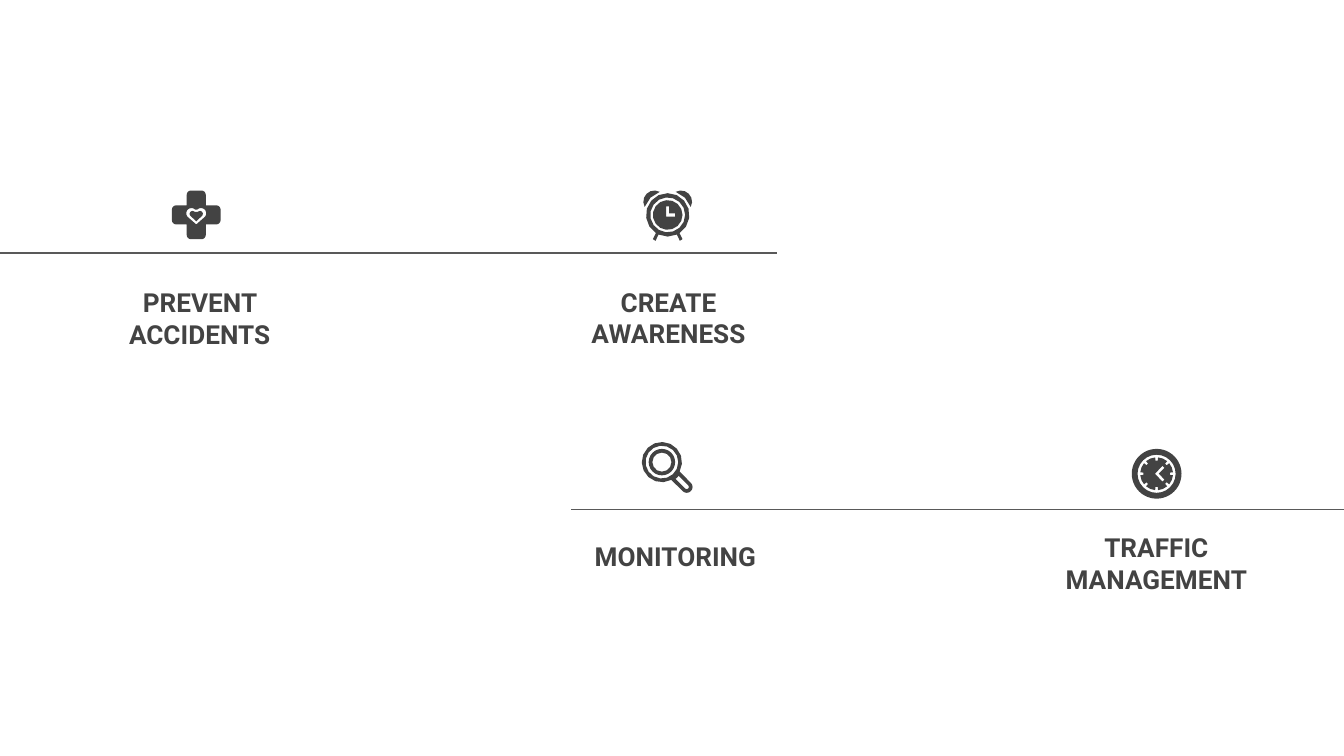
from math import cos, radians, sin

from lxml import etree
from pptx import Presentation
from pptx.dml.color import RGBColor
from pptx.enum.shapes import MSO_CONNECTOR, MSO_SHAPE
from pptx.enum.text import MSO_ANCHOR, PP_ALIGN
from pptx.oxml.ns import qn
from pptx.util import Cm, Pt

STRAIGHT = MSO_CONNECTOR.STRAIGHT
DONUT = MSO_SHAPE.DONUT
BOTTOM = MSO_ANCHOR.BOTTOM
CENTER = PP_ALIGN.CENTER


def color(hex_code):
    return RGBColor.from_string(hex_code)


def arc(x, y, radius, start, end):
    """Points of an arc in degrees, clockwise from the right."""
    steps = max(2, round(abs(end - start) / 24))
    angles = [radians(start + (end - start) * i / steps) for i in range(steps + 1)]
    return [(x + radius * cos(a), y + radius * sin(a)) for a in angles]


def circle(radius):
    return arc(0, 0, radius, 0, 336)


def mirror(points):
    return [(-x, y) for x, y in points]


def heart(lobe_x, lobe_y, radius, tip):
    right = arc(lobe_x, lobe_y, radius, 225, 400)
    return right + [(0, tip)] + mirror(right)[::-1]


def rounded_cross(half, arm, corner):
    points = []
    for turn in (0, 90, 180, 270):
        c, s = cos(radians(turn)), sin(radians(turn))
        points.append((arm * c + arm * s, arm * s - arm * c))
        for side, start in ((-1, turn - 90), (1, turn)):
            x, y = half - corner, side * (arm - corner)
            points += arc(x * c - y * s, x * s + y * c, corner, start, start + 90)
    return points


def notched_disc(radius, notch_radius, notches):
    points, pitch = [], 360 / notches
    for i in range(notches):
        rim = arc(0, 0, radius, i * pitch + 5, (i + 1) * pitch - 5)
        ratio = notch_radius / radius
        notch_start, notch_end = [(x * ratio, y * ratio) for x, y in (rim[0], rim[-1])]
        points += [notch_start] + rim + [notch_end]
    return points


class TimelineSlide:
    font, ink, rule = "Roboto", "434343", "595959"

    def __init__(self, presentation):
        self.shapes = presentation.slides.add_slide(presentation.slide_layouts[6]).shapes

    def label(self, text, left, top, height=1.19):
        box = self.shapes.add_textbox(Cm(left), Cm(top), Cm(4.95), Cm(height))
        frame = box.text_frame
        frame.word_wrap = True
        frame.vertical_anchor = BOTTOM
        frame.margin_left = frame.margin_right = Cm(0.25)
        frame.margin_top = frame.margin_bottom = Cm(0.25)
        frame.text = text
        paragraph = frame.paragraphs[0]
        paragraph.alignment = CENTER
        font = paragraph.runs[0].font
        font.name, font.size, font.bold = self.font, Pt(14), True
        font.color.rgb = color(self.ink)

    def line(self, start, end, y):
        connector = self.shapes.add_connector(STRAIGHT, Cm(start), Cm(y), Cm(end), Cm(y))
        connector.line.color.rgb = color(self.rule)
        connector.line.width = Pt(0.75)
        etree.SubElement(connector._element.spPr, qn("a:effectLst"))

    def paint(self, shape):
        shape.shadow.inherit = False
        shape.fill.solid()
        shape.fill.fore_color.rgb = color(self.ink)
        shape.line.fill.background()

    def ring(self, center, outer, inner):
        x, y = center
        ring = self.shapes.add_shape(DONUT, Cm(x - outer), Cm(y - outer),
                                     Cm(2 * outer), Cm(2 * outer))
        ring.adjustments[0] = (outer - inner) / (2 * outer)
        self.paint(ring)

    def icon_part(self, center, *contours):
        """Filled outline; later contours cut holes in the first."""
        placed = [[(Cm(center[0] + x), Cm(center[1] + y)) for x, y in contour]
                  for contour in contours]
        builder = self.shapes.build_freeform(*placed[0][0])
        builder.add_line_segments(placed[0][1:], close=True)
        for hole in placed[1:]:
            builder.move_to(*hole[0])
            builder.add_line_segments(hole[1:], close=True)
        self.paint(builder.convert_to_shape())

    def medical_cross(self, center):
        self.icon_part(center, heart(0.07, -0.02, 0.055, 0.12))
        self.icon_part(center, rounded_cross(0.46, 0.18, 0.08), heart(0.09, -0.03, 0.1, 0.18))

    def alarm_clock(self, center):
        foot = [(0.28, 0.46), (0.23, 0.49)]
        body = arc(0, 0, 0.41, 123, 417) + foot + arc(0, 0, 0.41, 65, 115) + mirror(foot)[::-1]
        bell = arc(0.25, -0.25, 0.21, -118, 28) + arc(0, 0, 0.46, -19, -71)
        hands = [(-0.03, -0.16), (0.03, -0.16), (0.03, -0.03),
                 (0.14, -0.03), (0.14, 0.03), (-0.03, 0.03)]
        self.icon_part(center, body, circle(0.33))
        self.icon_part(center, bell)
        self.icon_part(center, mirror(bell))
        self.icon_part(center, circle(0.28), hands)

    def magnifier(self, center):
        outline = arc(0, 0, 0.38, 62, 388) + arc(0.47, 0.47, 0.11, -45, 135)
        slot = arc(0, 0, 0.41, 51, 39) + arc(0.47, 0.47, 0.04, -45, 135)
        self.icon_part(center, outline, circle(0.31), slot)
        self.ring(center, 0.25, 0.18)

    def wall_clock(self, center):
        hands = [(0.11, -0.15), (0.15, -0.11), (0.04, 0),
                 (0.15, 0.11), (0.11, 0.15), (-0.03, 0)]
        self.ring(center, 0.47, 0.36)
        self.icon_part(center, notched_disc(0.31, 0.25, 8), hands)


def main():
    presentation = Presentation()
    presentation.slide_width, presentation.slide_height = Cm(25.4), Cm(14.28)
    slide = TimelineSlide(presentation)

    slide.label("PREVENT ACCIDENTS", 1.3, 5.66)
    slide.label("CREATE AWARENESS", 10.16, 5.44, 1.4)
    slide.label("MONITORING", 10.29, 9.86)
    slide.label("TRAFFIC MANAGEMENT", 19.38, 10.29)

    slide.line(14.68, -0.12, 4.78)
    slide.line(25.5, 10.8, 9.62)

    slide.wall_clock((21.86, 8.95))
    slide.alarm_clock((12.62, 4.06))
    slide.medical_cross((3.71, 4.06))
    slide.magnifier((12.51, 8.73))

    presentation.save("out.pptx")


if __name__ == "__main__":
    main()
